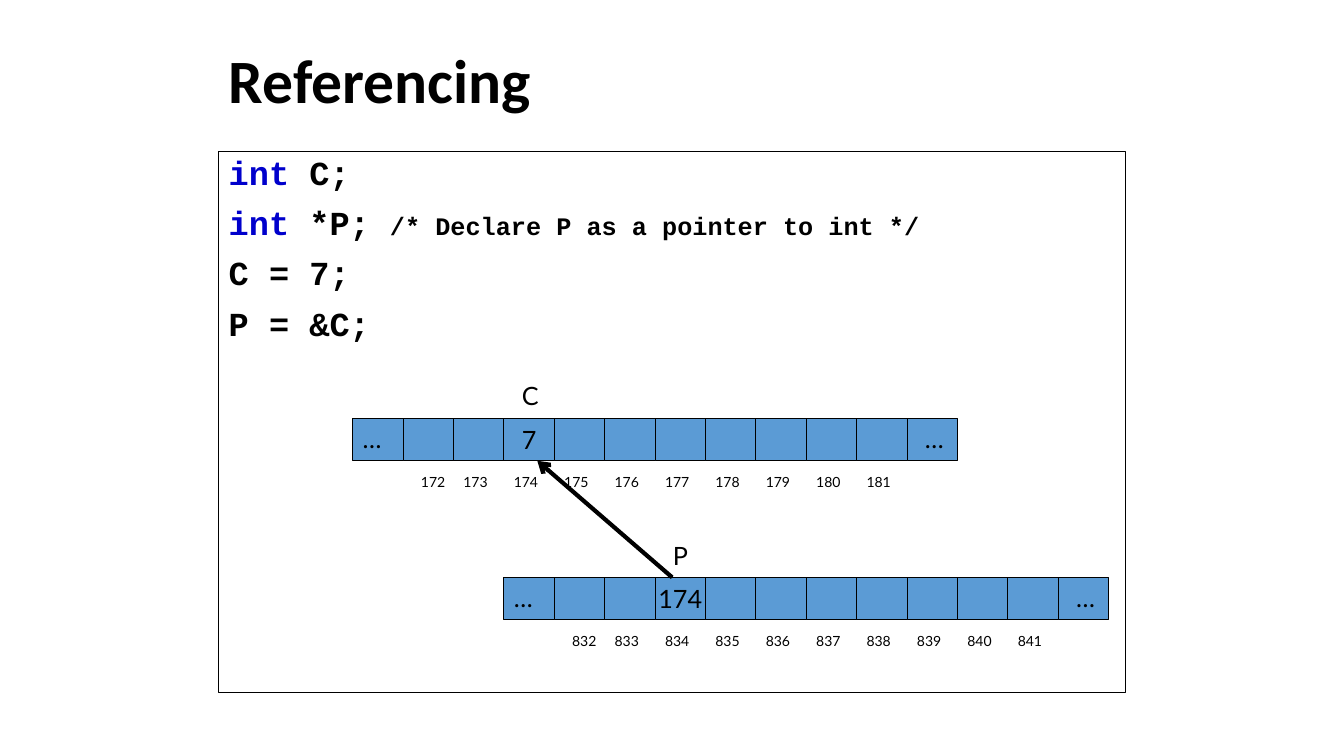
"""Build the slide on referencing, with two rows of memory cells and a pointer."""
from dataclasses import dataclass
from typing import Any

from pptx import Presentation
from pptx.dml.color import RGBColor
from pptx.enum.shapes import MSO_CONNECTOR as Link, MSO_SHAPE as Shape
from pptx.enum.text import MSO_ANCHOR as Anchor, MSO_AUTO_SIZE as Fit, PP_ALIGN as Align
from pptx.oxml.ns import qn
from pptx.util import Cm, Pt

BLACK, BLUE, CELL, WHITE = "000000", "0000CC", "5B9BD5", "FFFFFF"
STEP, HIGH, COUNT, HELD = 1.27, 1.07, 12, 3


@dataclass
class Row:
    name: str
    value: str
    first: int
    left: float
    top: float


ROWS = [Row("C", "7", 172, 8.89, 10.54), Row("P", "174", 832, 12.7, 14.55)]
CODE = [
    [("int", BLUE, 24), (" C;", BLACK, 24)],
    [("int", BLUE, 24), (" *P; ", BLACK, 24),
     ("/* Declare P as a pointer to int */", BLACK, 18)],
    [("C = 7;", BLACK, 24)],
    [("P = &C;", BLACK, 24)],
]


def tint(code: str) -> RGBColor:
    return RGBColor.from_string(code)


def write(par: Any, text: str, *, font: str = "Lato", size: float = 18,
          color: str = BLACK, bold: bool = False) -> None:
    run = par.add_run()
    run.text = text
    run.font.name, run.font.size, run.font.bold = font, Pt(size), bold
    run.font.color.rgb = tint(color)


def place(item: Any, left: float, top: float, width: float, height: float) -> None:
    item.left, item.top = Cm(left), Cm(top)
    item.width, item.height = Cm(width), Cm(height)


def paint(item: Any, fill: str) -> None:
    item.fill.solid()
    item.fill.fore_color.rgb = tint(fill)
    item.line.color.rgb = tint(BLACK)
    item.line.width = Pt(0.75)


def label(slide: Any, text: str, left: float, top: float, width: float,
          height: float, size: float = 18) -> None:
    box = slide.shapes.add_textbox(Cm(left), Cm(top), Cm(width), Cm(height))
    box.text_frame.word_wrap = True
    box.text_frame.auto_size = Fit.SHAPE_TO_FIT_TEXT
    write(box.text_frame.paragraphs[0], text, size=size)


def draw_row(slide: Any, row: Row) -> None:
    for i in range(COUNT):
        cell = slide.shapes.add_shape(
            Shape.RECTANGLE, Cm(row.left + i * STEP), Cm(row.top), Cm(STEP), Cm(HIGH))
        cell.shadow.inherit = False
        paint(cell, CELL)
        if i == HELD:
            frame = cell.text_frame
            frame.word_wrap, frame.vertical_anchor = False, Anchor.MIDDLE
            frame.paragraphs[0].alignment = Align.CENTER
            write(frame.paragraphs[0], row.value)
    marks = [("…", 0, 0), ("…", 14.17, 0), (row.name, 4.01, -HIGH)]
    for text, dx, dy in marks:
        label(slide, text, row.left + dx, row.top + dy, 0.84, 1.02)
    for i in range(COUNT - 2):
        dx = (i + 1) * STEP if i else 1.47
        label(slide, str(row.first + i), row.left + dx, row.top + STEP, STEP, 0.69, 10)


def draw_title(title: Any) -> None:
    place(title, 5.51, 0.84, 23.5, 2.54)
    frame = title.text_frame
    frame.auto_size, frame.vertical_anchor = Fit.NONE, Anchor.MIDDLE
    par = frame.paragraphs[0]
    par.alignment, par.line_spacing = Align.LEFT, 0.9
    write(par, "Referencing", font="Calibri", size=44, bold=True)


def draw_code(body: Any) -> None:
    place(body, 5.51, 3.81, 22.86, 13.64)
    paint(body, WHITE)
    frame = body.text_frame
    frame.auto_size, frame.vertical_anchor = Fit.NONE, Anchor.TOP
    for i, line in enumerate(CODE):
        par = frame.add_paragraph() if i else frame.paragraphs[0]
        props = par._p.get_or_add_pPr()
        props.set("marL", str(Cm(1.24)))
        props.set("indent", str(-Cm(1.24)))
        props.append(props.makeelement(qn("a:buNone"), {}))
        par.line_spacing, par.space_before = 0.9, Pt(10 if i else 0)
        for text, color, size in line:
            write(par, text, font="Courier New", size=size, color=color, bold=True)


def draw_arrow(slide: Any) -> None:
    arrow = slide.shapes.add_connector(
        Link.STRAIGHT, Cm(16.94), Cm(14.55), Cm(13.54), Cm(11.61))
    arrow.line.color.rgb = tint(BLACK)
    arrow.line.width = Pt(3)
    line = arrow.line._get_or_add_ln()
    line.append(line.makeelement(qn("a:tailEnd"), {"type": "arrow"}))
    props = arrow._element.spPr
    props.append(props.makeelement(qn("a:effectLst"), {}))


def main() -> None:
    deck = Presentation()
    deck.slide_width, deck.slide_height = Cm(33.87), Cm(19.05)
    slide = deck.slides.add_slide(deck.slide_layouts[1])
    draw_title(slide.shapes.title)
    draw_code(slide.placeholders[1])
    for row in ROWS:
        draw_row(slide, row)
    draw_arrow(slide)
    deck.save("out.pptx")


if __name__ == "__main__":
    main()
